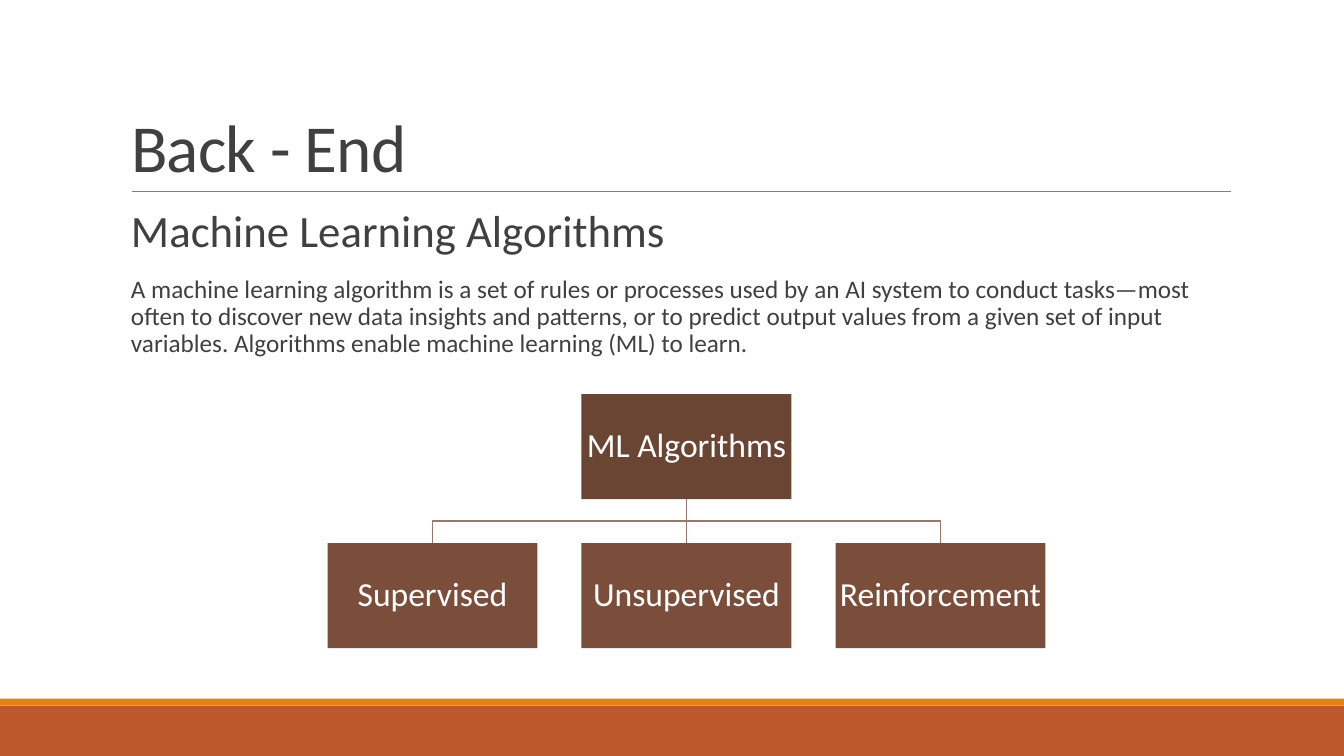
from pptx import Presentation
from pptx.dml.color import RGBColor
from pptx.enum.shapes import MSO_CONNECTOR, MSO_SHAPE
from pptx.enum.text import MSO_ANCHOR, MSO_AUTO_SIZE, PP_ALIGN
from pptx.oxml import parse_xml
from pptx.oxml.ns import nsdecls
from pptx.util import Pt


def paint(form, color):
    form.fore_color.rgb = RGBColor.from_string(color)


def write(para, text, size, color, **style):
    run = para.add_run()
    run.text = text
    run.font.name = "Calibri"
    run.font.size = Pt(size)
    run.font.fill.solid()
    paint(run.font.fill, color)
    for name, value in style.items():
        setattr(para, name, value)
    return run


deck = Presentation()
deck.slide_width, deck.slide_height = Pt(960), Pt(540)
slide = deck.slides.add_slide(deck.slide_layouts[5])
shapes = slide.shapes

# Footer bands
for top, height, color in [(504, 36, "BD582C"), (499, 5, "E48312")]:
    band = shapes.add_shape(MSO_SHAPE.RECTANGLE, 0, Pt(top), Pt(960), Pt(height))
    band.shadow.inherit = False
    band.fill.solid()
    paint(band.fill, color)
    band.line.fill.background()

# Title and the rule below it
title = shapes.title
title.left, title.top, title.width, title.height = Pt(86.4), Pt(22.5), Pt(792), Pt(114.3)
frame = title.text_frame
frame.auto_size = MSO_AUTO_SIZE.NONE
frame.vertical_anchor = MSO_ANCHOR.BOTTOM
run = write(frame.paragraphs[0], "Back - End", 48, "404040",
            alignment=PP_ALIGN.LEFT, line_spacing=0.85)
run.font._element.set("spc", "-50")

rule = shapes.add_connector(MSO_CONNECTOR.STRAIGHT, Pt(94.3), Pt(136.8), Pt(879), Pt(136.8))
lines = [(rule, "808080", 0.5)]

# Heading and definition
body = shapes.add_textbox(Pt(93.6), Pt(145.4), Pt(784.8), Pt(117)).text_frame
body.word_wrap = True
body.margin_left = body.margin_right = 0
heading = body.paragraphs[0]
for para, text, size in [
    (heading, "Machine Learning Algorithms", 32),
    (body.add_paragraph(), "A machine learning algorithm is a set of rules or processes used by "
     "an AI system to conduct tasks—most often to discover new data insights and patterns, or to "
     "predict output values from a given set of input variables. Algorithms enable machine "
     "learning (ML) to learn.", 18),
]:
    write(para, text, size, "404040", line_spacing=0.9,
          space_before=Pt(12), space_after=Pt(2))

# Tree boxes: root, then its children at an equal pitch
wide, high, pitch = 150, 75, 181.44
left, top, low = 415.4, 281.5, 388
boxes = []
for text, step, y, color in [
    ("ML Algorithms", 0, top, "6B4533"),
    ("Supervised", -1, low, "7A4E3A"),
    ("Unsupervised", 0, low, "7A4E3A"),
    ("Reinforcement", 1, low, "7A4E3A"),
]:
    box = shapes.add_shape(MSO_SHAPE.RECTANGLE, Pt(left + step * pitch), Pt(y),
                           Pt(wide), Pt(high))
    box.shadow.inherit = False
    box.fill.solid()
    paint(box.fill, color)
    box.line.fill.background()
    frame = box.text_frame
    frame.word_wrap = True
    frame.vertical_anchor = MSO_ANCHOR.MIDDLE
    for side in ("left", "right", "top", "bottom"):
        setattr(frame, "margin_" + side, Pt(1.2))
    write(frame.paragraphs[0], text, 24, "FFFFFF",
          alignment=PP_ALIGN.CENTER, line_spacing=0.9)
    boxes.append(box)

# Tree links: a straight stem and two bent branches
mid, start = left + wide / 2, top + high
bend = (start + low) / 2
stem = shapes.add_connector(MSO_CONNECTOR.STRAIGHT, Pt(mid), Pt(start), Pt(mid), Pt(low))
stem.begin_connect(boxes[0], 2)
stem.end_connect(boxes[2], 0)
lines.append((stem, "98776C", 1.25))
for step in (-1, 1):
    end = mid + step * pitch
    path = shapes.build_freeform(Pt(mid), Pt(start))
    path.add_line_segments([(Pt(mid), Pt(bend)), (Pt(end), Pt(bend)), (Pt(end), Pt(low))],
                           close=False)
    branch = path.convert_to_shape()
    branch.fill.background()
    lines.append((branch, "98776C", 1.25))

# Line formats
for item, color, width in lines:
    item.line.fill.solid()
    paint(item.line.fill, color)
    item.line.width = Pt(width)
    item._element.spPr.append(parse_xml(f"<a:effectLst {nsdecls('a')}/>"))

deck.save("out.pptx")
